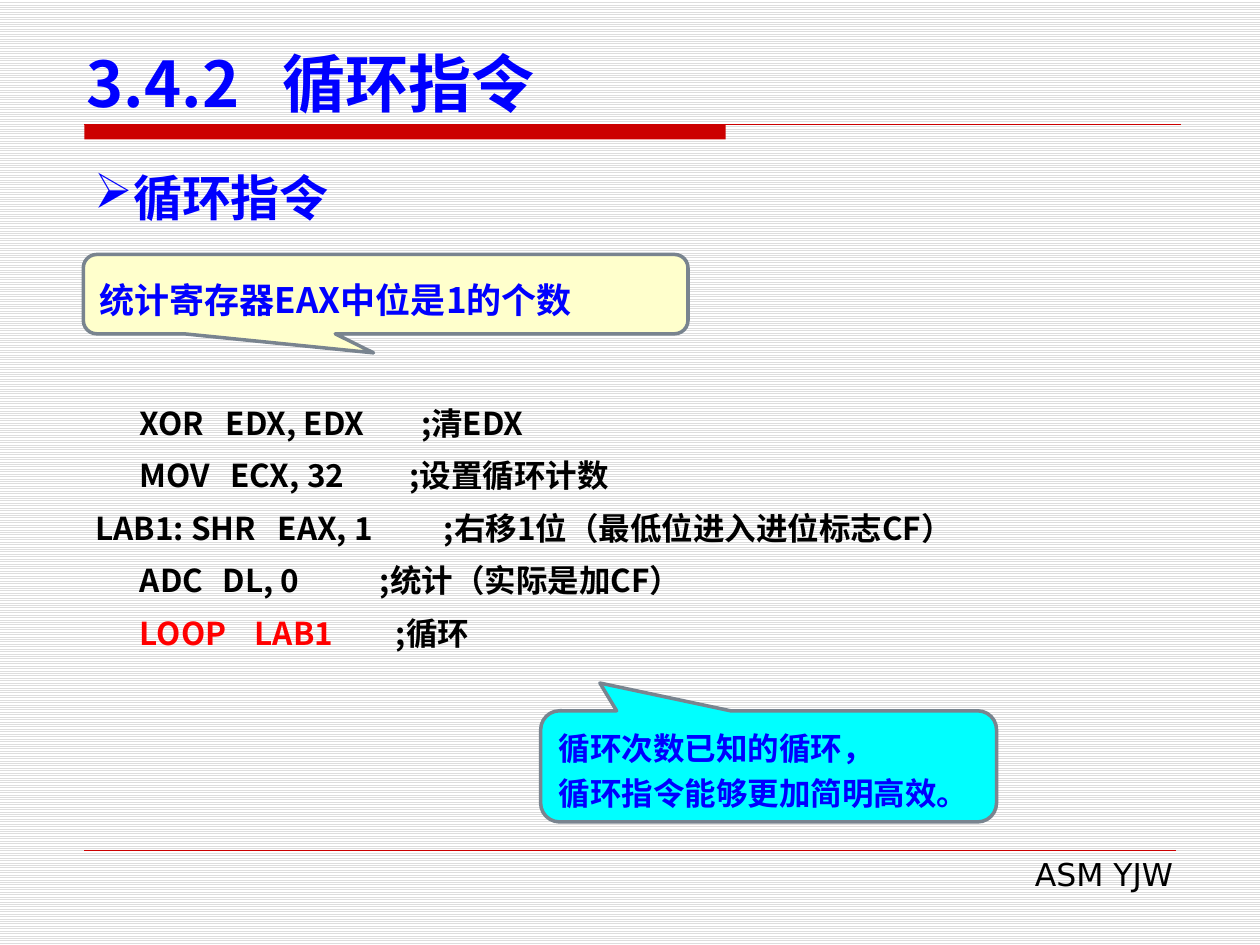
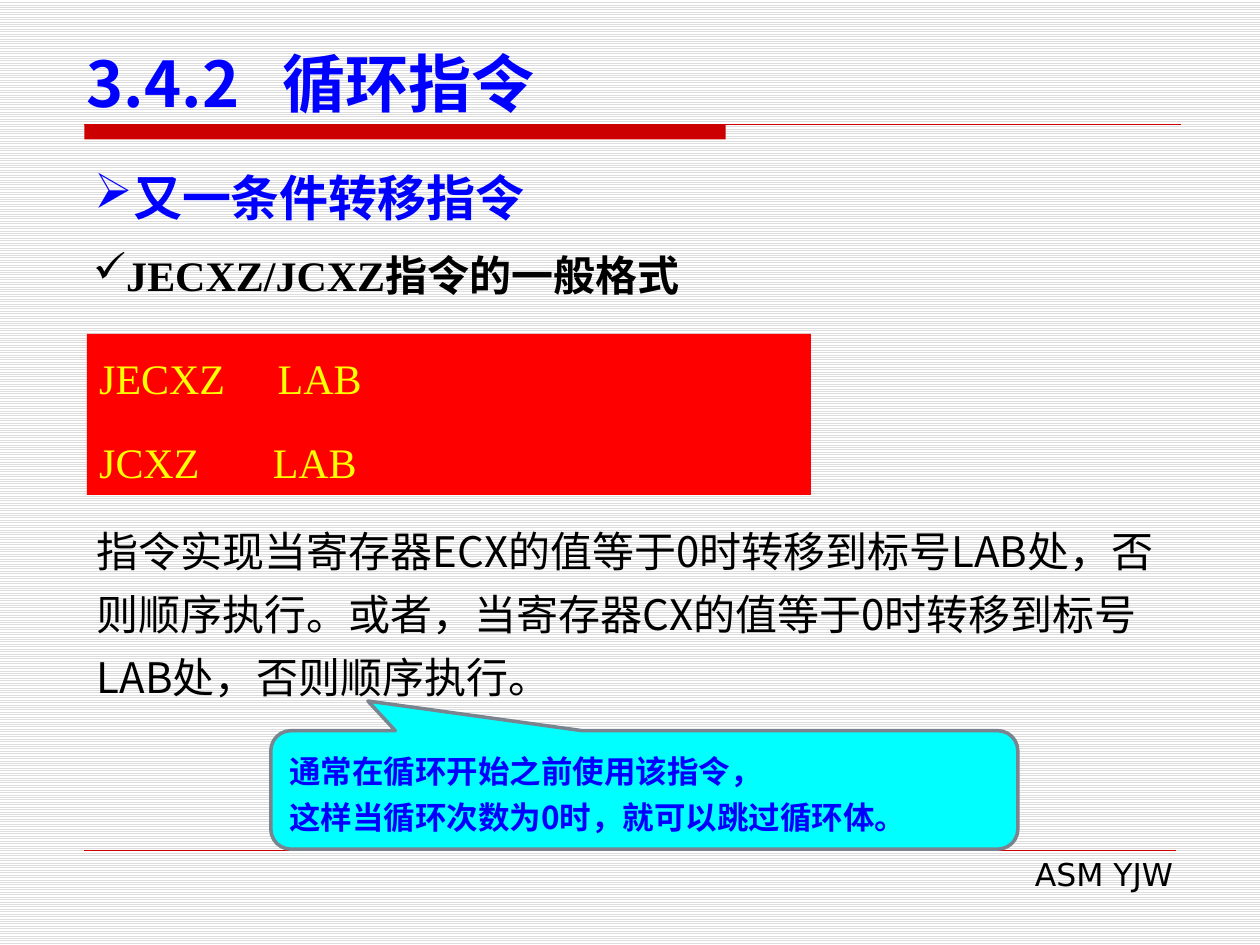
"""Build two slides on loop instructions."""
from lxml.etree import SubElement
from pptx import Presentation
from pptx.dml.color import RGBColor
from pptx.enum.dml import MSO_PATTERN
from pptx.enum.shapes import MSO_CONNECTOR, MSO_SHAPE
from pptx.enum.text import MSO_ANCHOR, PP_ALIGN
from pptx.oxml.ns import qn
from pptx.util import Cm, Pt

INK = {
    "blue": "0000FF", "red": "FF0000", "black": "000000", "yellow": "FFFF00",
    "band": "CC0000", "cream": "FFFFCC", "cyan": "00FFFF", "edge": "79848F",
    "stripe": "DDDDDD", "white": "FFFFFF",
}
SANS = "Noto Sans CJK SC"
PLAIN = "DejaVu Sans"
SERIF = "Times New Roman"


def look(ink, name, size, bold=False, anchor=MSO_ANCHOR.TOP, **para):
    """Return the format values of one text style."""
    return {
        "ink": ink,
        "font": {"name": name, "size": Pt(size), "bold": bold},
        "frame": {"word_wrap": True, "vertical_anchor": anchor},
        "para": para,
    }


LOOKS = {
    "title": look("blue", SANS, 36, True, MSO_ANCHOR.BOTTOM),
    "footer": look("black", PLAIN, 18, alignment=PP_ALIGN.RIGHT),
    "head": look("blue", PLAIN, 28, True),
    "point": look("black", SERIF, 24, True),
    "code": look("black", SANS, 18, True, line_spacing=Pt(30)),
    "form": look("yellow", SERIF, 24, line_spacing=Pt(36), space_before=Pt(12)),
    "body": look("black", SANS, 24, line_spacing=Pt(36)),
    "task": look("blue", SANS, 20, True, MSO_ANCHOR.MIDDLE, line_spacing=Pt(30)),
    "note": look("blue", SANS, 18, True, MSO_ANCHOR.MIDDLE, line_spacing=Pt(26)),
}


def tint(name):
    """Return a named colour."""
    return RGBColor.from_string(INK[name])


def assign(item, values):
    """Set each attribute of an item from a dict."""
    for key, value in values.items():
        setattr(item, key, value)


class Deck:
    """Hold the style and the current slide."""

    def __init__(self):
        """Start an empty deck."""
        self.show = Presentation()
        assign(self.show, {"slide_width": Cm(25.4), "slide_height": Cm(19.05)})
        self.slide = None

    def page(self, title, head):
        """Add a slide with its ground, bands, footer, title and heading."""
        self.slide = self.show.slides.add_slide(self.show.slide_layouts[6])
        fill = self.slide.background.fill
        fill.patterned()
        fill.pattern = MSO_PATTERN.LIGHT_HORIZONTAL
        fill.fore_color.rgb = tint("stripe")
        fill.back_color.rgb = tint("white")
        self.shape(MSO_SHAPE.RECTANGLE, (1.7, 2.51, 12.93, 0.3), "band")
        self.rule(23.8, 2.51, 0.75)
        self.rule(23.7, 17.15, 0.25)
        self.text((9.7, 17.12, 14.2, 1.02), "footer", ["ASM YJW"])
        self.text((1.5, 0.74, 23, 1.8), "title", [((3.95,), (title, "blue"))])
        self.text((1.65, 3.25, 22, 1.45), "head", [head], "➢")

    def rule(self, right, top, width):
        """Draw a level line from the left margin."""
        line = self.slide.shapes.add_connector(
            MSO_CONNECTOR.STRAIGHT, Cm(1.7), Cm(top), Cm(right), Cm(top))
        line.line.color.rgb = tint("band")
        line.line.width = Pt(width)
        SubElement(line._element.spPr, qn("a:effectLst"))

    def shape(self, kind, box, fill, edge=None):
        """Draw a filled preset shape."""
        item = self.slide.shapes.add_shape(kind, *map(Cm, box))
        item.shadow.inherit = False
        item.fill.solid()
        item.fill.fore_color.rgb = tint(fill)
        if edge:
            item.line.color.rgb = tint(edge)
            item.line.width = Pt(2)
        else:
            item.line.fill.background()
        return item

    def bubble(self, box, fill, tip, style, rows):
        """Draw a speech bubble with its tip at a share of its size."""
        item = self.shape(MSO_SHAPE.ROUNDED_RECTANGULAR_CALLOUT, box, fill, "edge")
        for index, value in enumerate((*tip, 0.17)):
            item.adjustments[index] = value
        self.letter(item.text_frame, style, rows)

    def panel(self, box, fill, style, rows):
        """Draw a plain box of text."""
        item = self.shape(MSO_SHAPE.RECTANGLE, box, fill)
        self.letter(item.text_frame, style, rows)

    def text(self, box, style, rows, mark=None):
        """Add a text box."""
        item = self.slide.shapes.add_textbox(*map(Cm, box))
        self.letter(item.text_frame, style, rows, mark)

    def letter(self, frame, style, rows, mark=None):
        """Fill a frame with rows: plain text, or tab stops and tinted runs."""
        form = LOOKS[style]
        assign(frame, form["frame"])
        for index, row in enumerate(rows):
            para = frame.add_paragraph() if index else frame.paragraphs[0]
            assign(para, {"alignment": PP_ALIGN.LEFT, **form["para"]})
            stops, *runs = ((), (row, form["ink"])) if isinstance(row, str) else row
            props = para._p.get_or_add_pPr()
            if mark:
                SubElement(props, qn("a:buChar"), char=mark)
            if stops:
                tabs = SubElement(props, qn("a:tabLst"))
                for stop in stops:
                    SubElement(tabs, qn("a:tab"), pos=str(Cm(stop)), algn="l")
            for words, ink in runs:
                run = para.add_run()
                run.text = words
                assign(run.font, form["font"])
                run.font.color.rgb = tint(ink)
                SubElement(run._r.get_or_add_rPr(), qn("a:ea"), typeface=SANS)


def main():
    """Build and save the deck."""
    deck = Deck()
    title = "3.4.2\t循环指令"
    tip = (-0.37, -0.75)

    deck.page(title, "循环指令")
    deck.text((1.68, 7.72, 22.02, 5.59), "code", [
        ((0.89, 2.62, 6.56), ("\tXOR\tEDX, EDX\t;清EDX", "black")),
        ((0.89, 2.71, 6.33), ("\tMOV\tECX, 32\t;设置循环计数", "black")),
        ((3.67, 7.02), ("LAB1: SHR\tEAX, 1\t;右移1位（最低位进入进位标志CF）", "black")),
        ((0.89, 2.56, 5.73), ("\tADC\tDL, 0\t;统计（实际是加CF）", "black")),
        ((0.89, 3.21, 6.05), ("\tLOOP\tLAB1\t", "red"), (";循环", "black")),
    ])
    deck.bubble((1.68, 5.13, 12.19, 1.6), "cream", (-0.02, 0.74), "task",
                ["统计寄存器EAX中位是1的个数"])
    deck.bubble((10.9, 14.33, 9.19, 2.24), "cyan", tip, "note",
                ["循环次数已知的循环，", "循环指令能够更加简明高效。"])

    deck.page(title, "又一条件转移指令")
    deck.text((1.63, 4.9, 18.62, 1.27), "point", ["JECXZ/JCXZ指令的一般格式"], "✓")
    deck.panel((1.75, 6.73, 14.6, 3.25), "red", "form", [
        ((3.6,), ("JECXZ\tLAB", "yellow")),
        ((3.5,), ("JCXZ\tLAB", "yellow")),
    ])
    deck.text((1.7, 10.21, 22.02, 3.94), "body", [
        "指令实现当寄存器ECX的值等于0时转移到标号LAB处，否则顺序执行。"
        "或者，当寄存器CX的值等于0时转移到标号LAB处，否则顺序执行。"])
    deck.bubble((5.46, 14.73, 15.06, 2.39), "cyan", tip, "note",
                ["通常在循环开始之前使用该指令，", "这样当循环次数为0时，就可以跳过循环体。"])

    deck.show.save("out.pptx")


if __name__ == "__main__":
    main()
